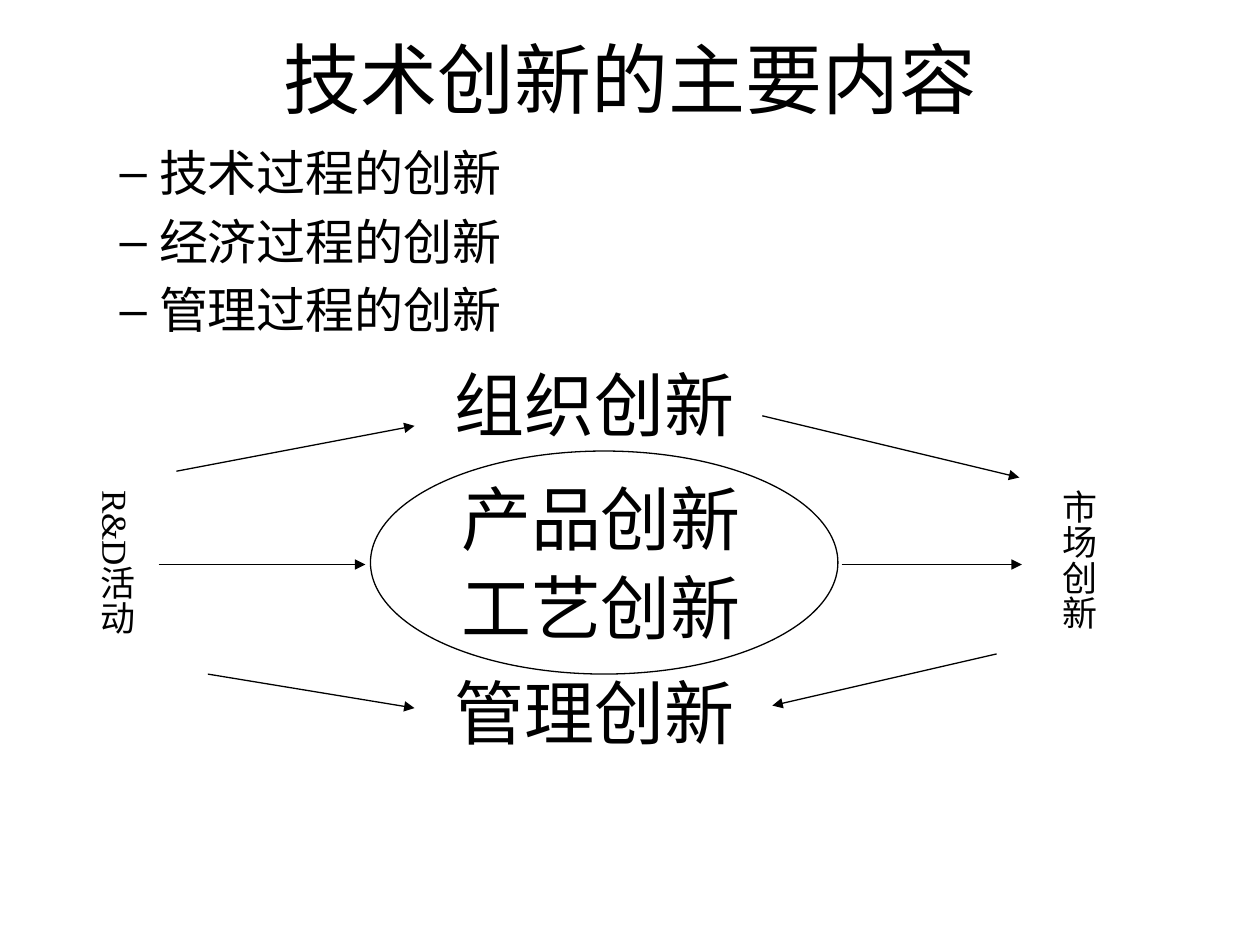
from pptx import Presentation
from pptx.dml.color import RGBColor
from pptx.enum.shapes import MSO_CONNECTOR, MSO_SHAPE
from pptx.enum.text import MSO_ANCHOR, MSO_AUTO_SIZE, PP_ALIGN
from pptx.oxml.ns import qn
from pptx.util import Inches, Pt
from lxml import etree

STRAIGHT = MSO_CONNECTOR.STRAIGHT
ELLIPSE = MSO_SHAPE.OVAL
MIDDLE, TOP = MSO_ANCHOR.MIDDLE, MSO_ANCHOR.TOP
CENTER = PP_ALIGN.CENTER
FIT_SHAPE, FIT_NONE = MSO_AUTO_SIZE.SHAPE_TO_FIT_TEXT, MSO_AUTO_SIZE.NONE
BLACK = "000000"
SANS, SERIF = "Noto Sans CJK SC", "Times New Roman"
LINE_WIDTH = 0.75

PROCESSES = ["技术过程的创新", "经济过程的创新", "管理过程的创新"]
INNOVATIONS = [
    ("产品创新", 3.58, 3.73, 2.39, 0.75),
    ("工艺创新", 3.58, 4.44, 2.39, 0.75),
    ("管理创新", 3.53, 5.27, 2.39, 0.75),
    ("组织创新", 3.53, 2.83, 2.6, 0.77),
]
SIDE_LABELS = [
    ("R&D活动", 0.67, 3.85, 0.5, 1.24),
    ("市场创新", 8.31, 3.85, 0.5, 1.19),
]
ARROWS = [
    (1.26, 4.48, 2.9, 4.48),
    (6.68, 4.48, 8.11, 4.48),
    (1.4, 3.74, 3.29, 3.38),
    (6.05, 3.3, 8.09, 3.79),
    (7.91, 5.19, 6.13, 5.6),
    (1.65, 5.35, 3.29, 5.62),
]


def color(value):
    """Return the colour for a hex string."""
    return RGBColor.from_string(value)


def apply(target, values):
    """Set each attribute of the target from a dict."""
    for name, value in values.items():
        setattr(target, name, value)


def place(shape, left, top, width, height):
    """Move and size a shape, in inches."""
    box = {"left": left, "top": top, "width": width, "height": height}
    apply(shape, {name: Inches(value) for name, value in box.items()})


def write(paragraph, text, size, font_name):
    """Add a black run in the given size and font."""
    run = paragraph.add_run()
    run.text = text
    apply(run.font, {"size": Pt(size), "name": font_name})
    run.font.color.rgb = color(BLACK)
    east_asian = etree.SubElement(run.font._element, qn("a:ea"))
    east_asian.set("typeface", SANS)


def style_line(line):
    """Give a line its width and colour."""
    line.width = Pt(LINE_WIDTH)
    line.color.rgb = color(BLACK)


def fill_title(slide, text):
    """Fill the title placeholder."""
    title = slide.shapes.title
    place(title, 0, 0, 10, 1.23)
    title.text_frame.vertical_anchor = MIDDLE
    paragraph = title.text_frame.paragraphs[0]
    paragraph.alignment = CENTER
    write(paragraph, text, 44, SANS)


def fill_list(slide, items):
    """Fill the body placeholder with second-level items."""
    body = slide.placeholders[1]
    place(body, 0.35, 1.08, 9.65, 5.12)
    frame = body.text_frame
    apply(frame, {"vertical_anchor": TOP, "auto_size": FIT_NONE})
    for index, item in enumerate(items):
        paragraph = frame.add_paragraph() if index else frame.paragraphs[0]
        paragraph.level = 1
        write(paragraph, item, 28, SANS)


def add_label(slide, text, box, size, vertical=False):
    """Add a one-line label, set vertically if asked."""
    label = slide.shapes.add_textbox(*map(Inches, box))
    frame = label.text_frame
    apply(frame, {
        "word_wrap": False, "auto_size": FIT_SHAPE,
        "margin_left": Inches(0.08), "margin_right": Inches(0.08),
        "margin_top": Inches(0.04), "margin_bottom": Inches(0.04),
    })
    if vertical:
        frame._txBody.bodyPr.set("vert", "eaVert")
    write(frame.paragraphs[0], text, size, SERIF)


def add_ellipse(slide, box):
    """Add an unfilled ellipse."""
    ellipse = slide.shapes.add_shape(ELLIPSE, *map(Inches, box))
    ellipse.shadow.inherit = False
    ellipse.fill.background()
    style_line(ellipse.line)


def add_arrow(slide, ends):
    """Add a straight arrow between two points."""
    arrow = slide.shapes.add_connector(STRAIGHT, *map(Inches, ends))
    style_line(arrow.line)
    properties = arrow._element.spPr
    head = etree.SubElement(properties.find(qn("a:ln")), qn("a:tailEnd"))
    head.set("type", "triangle")
    etree.SubElement(properties, qn("a:effectLst"))


def main():
    """Build and save the slide."""
    presentation = Presentation()
    apply(presentation, {"slide_width": Inches(10), "slide_height": Inches(7.5)})
    slide = presentation.slides.add_slide(presentation.slide_layouts[1])
    fill_title(slide, "技术创新的主要内容")
    fill_list(slide, PROCESSES)
    add_ellipse(slide, (2.94, 3.58, 3.71, 1.77))
    for text, *box in INNOVATIONS:
        add_label(slide, text, box, 40)
    for text, *box in SIDE_LABELS:
        add_label(slide, text, box, 20, vertical=True)
    for ends in ARROWS:
        add_arrow(slide, ends)
    presentation.save("out.pptx")


if __name__ == "__main__":
    main()
